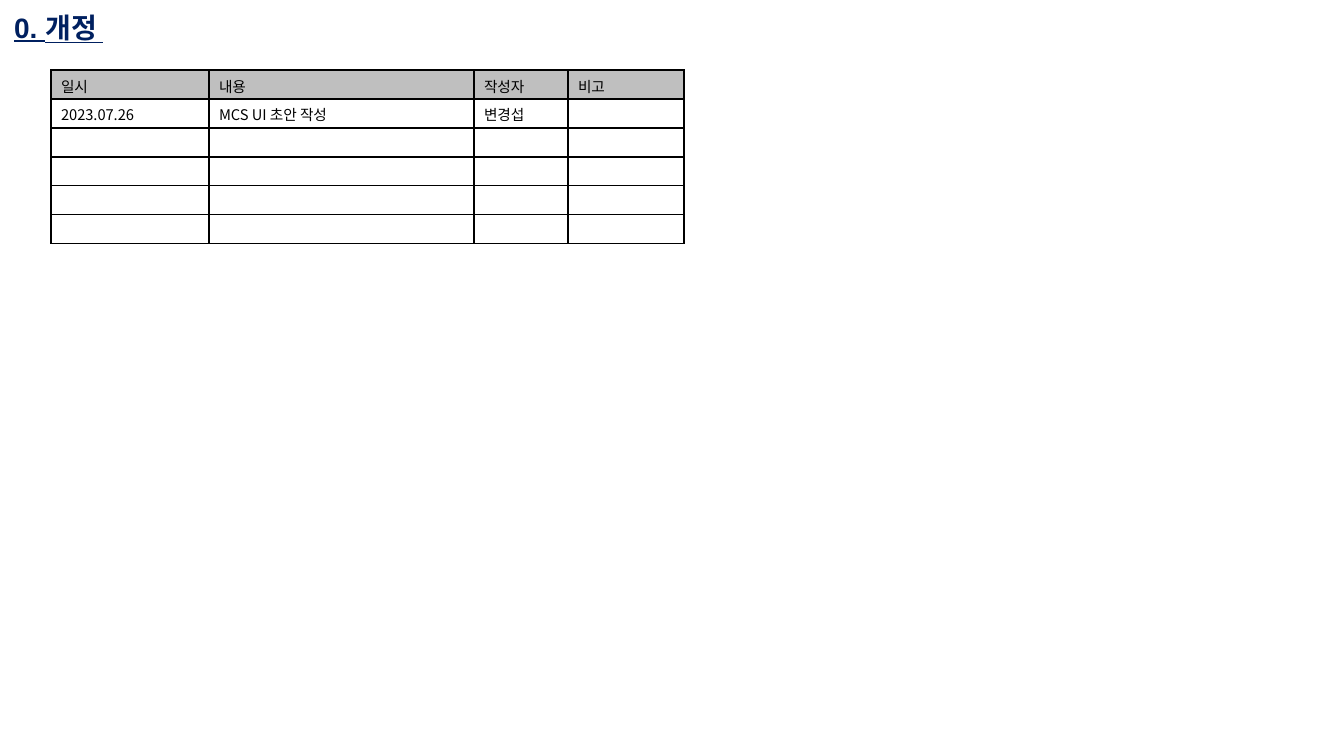
from lxml import etree
from pptx import Presentation
from pptx.dml.color import RGBColor
from pptx.enum.text import MSO_ANCHOR, MSO_AUTO_SIZE, PP_ALIGN
from pptx.oxml.ns import qn
from pptx.util import Emu, Pt

TOP, LEFT, GROW = MSO_ANCHOR.TOP, PP_ALIGN.LEFT, MSO_AUTO_SIZE.SHAPE_TO_FIT_TEXT
PX = 914400 / 100.8
KOREAN = "Noto Sans CJK KR"
TITLE = {"name": "Arial", "size": Pt(20), "bold": True, "underline": True}
CELL = {"name": KOREAN, "size": Pt(10.5), "bold": False}
COLUMNS = [158, 265, 94, 116]
ROWS = [
    ["일시", "내용", "작성자", "비고"],
    ["2023.07.26", "MCS UI 초안 작성", "변경섭", ""],
] + [[""] * 4 for _ in range(4)]


def px(n):
    return Emu(round(n * PX))


def rgb(value):
    return RGBColor.from_string(value)


class Deck:
    def __init__(self, width, height):
        self.prs = Presentation()
        self.prs.slide_width, self.prs.slide_height = px(width), px(height)
        self.s = self.prs.slides.add_slide(self.prs.slide_layouts[5])
        self.line, self.ink, self.navy, self.grey = "000000", "000000", "002060", "BFBFBF"

    def run(self, p, text, style, color):
        r = p.add_run()
        r.text = text
        for key, value in style.items():
            setattr(r.font, key, value)
        r.font.color.rgb = rgb(color)
        etree.SubElement(r.font._element, qn("a:ea"), typeface=KOREAN)

    def title(self, text, x, y, w, h):
        sp = self.s.shapes.title
        sp.left, sp.top, sp.width, sp.height = map(px, (x, y, w, h))
        tf = sp.text_frame
        for key, value in {"word_wrap": True, "auto_size": GROW, "vertical_anchor": TOP}.items():
            setattr(tf, key, value)
        p = tf.paragraphs[0]
        p.alignment = LEFT
        self.run(p, text, TITLE, self.navy)

    def borders(self, cell):
        tc_pr = cell._tc.get_or_add_tcPr()
        for side in ("lnL", "lnR", "lnT", "lnB"):
            ln = etree.SubElement(tc_pr, qn("a:" + side), w=str(Pt(1)))
            fill = etree.SubElement(ln, qn("a:solidFill"))
            etree.SubElement(fill, qn("a:srgbClr"), val=self.line)

    def cell(self, cell, text, header):
        self.borders(cell)
        if header:
            cell.fill.solid()
            cell.fill.fore_color.rgb = rgb(self.grey)
        else:
            cell.fill.background()
        p = cell.text_frame.paragraphs[0]
        if text:
            self.run(p, text, CELL, self.ink)
        else:
            end = etree.SubElement(p._p, qn("a:endParaRPr"), sz=str(int(CELL["size"].pt * 100)))
            for tag in ("a:latin", "a:ea"):
                etree.SubElement(end, qn(tag), typeface=KOREAN)

    def table(self, rows, columns, x, y, row_height):
        frame = self.s.shapes.add_table(
            len(rows), len(columns), px(x), px(y), px(sum(columns)), px(row_height * len(rows)))
        table = frame.table
        table.first_row = table.horz_banding = False
        for column, width in zip(table.columns, columns):
            column.width = px(width)
        for i, texts in enumerate(rows):
            table.rows[i].height = px(row_height)
            for j, text in enumerate(texts):
                self.cell(table.cell(i, j), text, i == 0)


def main():
    deck = Deck(1344, 756)
    deck.table(ROWS, COLUMNS, 51, 70, 29)
    deck.title("0. 개정 ", 4, 5, 886, 44)
    deck.prs.save("out.pptx")


if __name__ == "__main__":
    main()
